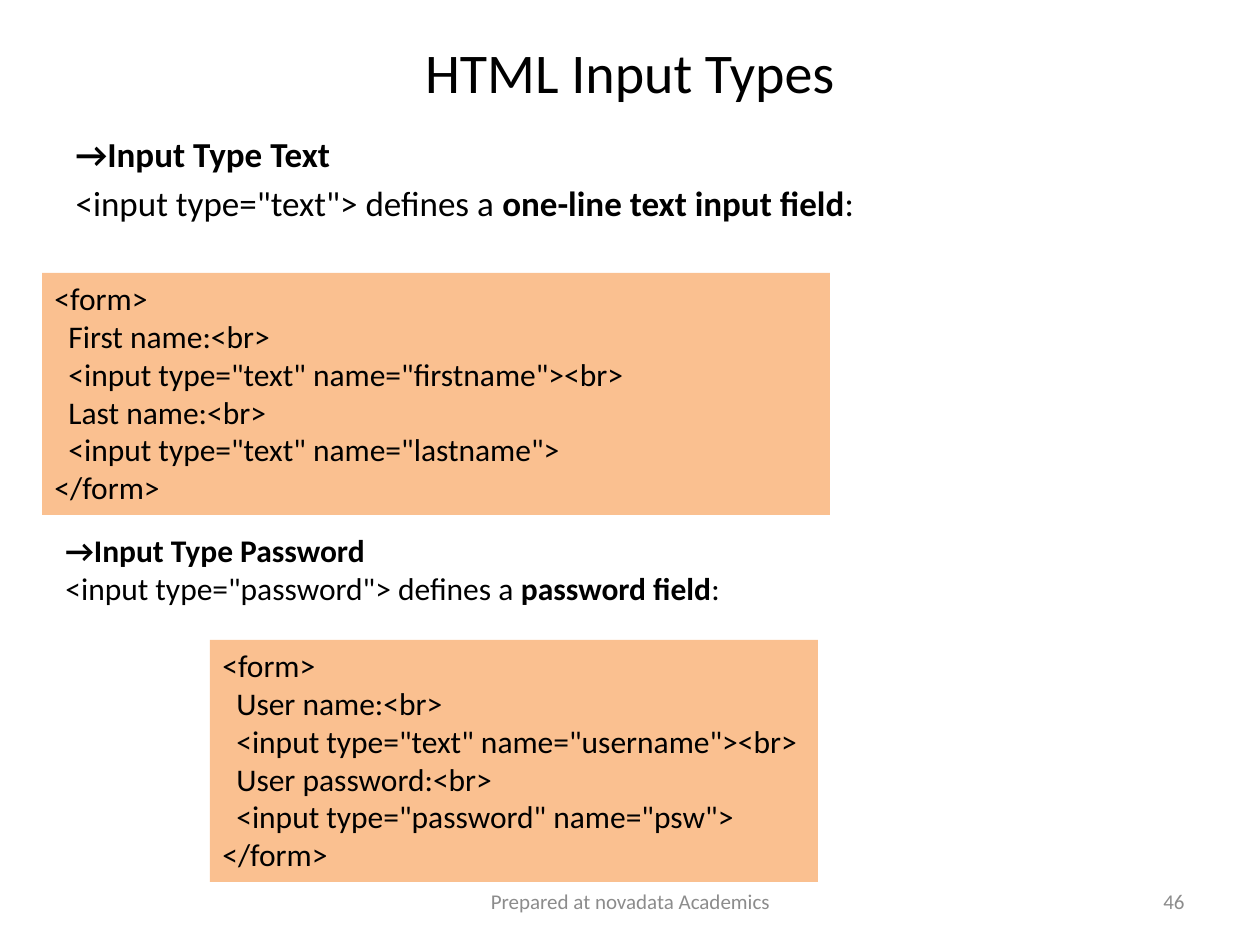
from lxml.etree import SubElement
from pptx import Presentation
from pptx.dml.color import RGBColor
from pptx.enum.shapes import MSO_SHAPE
from pptx.enum.text import MSO_ANCHOR, PP_ALIGN
from pptx.oxml.ns import qn
from pptx.util import Emu, Pt

PIXEL = 914400 // 126
BLACK, GREY, ORANGE = "000000", "8C8C8C", "FAC090"
TEXT_INTRO = [
    [("→Input Type Text", True)],
    [('<input type="text"> defines a ', False),
     ("one-line text input field", True), (":", False)],
]
PASSWORD_INTRO = [
    [("→Input Type Password", True)],
    [('<input type="password"> defines a ', False),
     ("password field", True), (":", False)],
]
TEXT_FORM = [
    "First name:<br>", '<input type="text" name="firstname"><br>',
    "Last name:<br>", '<input type="text" name="lastname">',
]
PASSWORD_FORM = [
    "User name:<br>", '<input type="text" name="username"><br>',
    "User password:<br>", '<input type="password" name="psw">',
]


def color(value):
    """Return the colour of a hex string."""
    return RGBColor.from_string(value)


def pixels(*lengths):
    """Convert pixel lengths to EMU."""
    return [Emu(length * PIXEL) for length in lengths]


def place(shape, area):
    """Move and size a shape."""
    shape.left, shape.top, shape.width, shape.height = pixels(*area)


def format_span(span, size, ink=BLACK, bold=False):
    """Set the font of one run."""
    span.font.name = "Calibri"
    span.font.size = Pt(size)
    span.font.bold = bold
    span.font.color.rgb = color(ink)


def indent(para, left, first=0):
    """Set the left margin and first-line indent in pixels."""
    properties = para._p.get_or_add_pPr()
    properties.set("marL", str(left * PIXEL))
    properties.set("indent", str(first * PIXEL))


def write_spans(frame, lines, size):
    """Write paragraphs of plain and bold runs."""
    frame.text = "\n" * (len(lines) - 1)
    for para, line in zip(frame.paragraphs, lines):
        for text, bold in line:
            span = para.add_run()
            span.text = text
            format_span(span, size, bold=bold)


def add_title(page, text):
    """Fill the title placeholder."""
    title = page.shapes.title
    place(title, (63, 38, 1134, 67))
    title.text_frame.text = text
    title.text_frame.vertical_anchor = MSO_ANCHOR.MIDDLE
    format_span(title.text_frame.paragraphs[0].runs[0], 32)


def add_body(page, lines):
    """Fill the body placeholder without bullets."""
    body = page.placeholders[1]
    place(body, (63, 126, 1134, 718))
    write_spans(body.text_frame, lines, 20)
    for para in body.text_frame.paragraphs:
        indent(para, 47, -47)
        SubElement(para._p.get_or_add_pPr(), qn("a:buNone"))


def add_text(page, area):
    """Add a wrapping text box and return its frame."""
    box = page.shapes.add_textbox(*pixels(*area))
    box.text_frame.word_wrap = True
    return box.text_frame


def add_form(page, area, fields):
    """Add a filled panel that lists the code of a form."""
    panel = page.shapes.add_shape(MSO_SHAPE.RECTANGLE, *pixels(*area))
    panel.shadow.inherit = False
    panel.fill.solid()
    panel.fill.fore_color.rgb = color(ORANGE)
    panel.line.fill.background()
    frame = panel.text_frame
    frame.word_wrap = True
    frame.vertical_anchor = MSO_ANCHOR.TOP
    frame.text = "\n".join(["<form>", *fields, "</form>"])
    for para in frame.paragraphs:
        para.alignment = PP_ALIGN.LEFT
        format_span(para.runs[0], 18)
    for para in frame.paragraphs[1:-1]:
        indent(para, 14)


def add_footer(page, area, text, alignment):
    """Add a small grey footer text."""
    frame = add_text(page, area)
    frame.vertical_anchor = MSO_ANCHOR.MIDDLE
    frame.text = text
    para = frame.paragraphs[0]
    para.alignment = alignment
    format_span(para.runs[0], 12, GREY)


def main():
    """Build the slide."""
    deck = Presentation()
    deck.slide_width, deck.slide_height = pixels(1260, 945)
    page = deck.slides.add_slide(deck.slide_layouts[1])
    add_title(page, "HTML Input Types")
    add_body(page, TEXT_INTRO)
    add_form(page, (42, 273, 788, 242), TEXT_FORM)
    write_spans(add_text(page, (53, 525, 687, 127)), PASSWORD_INTRO, 18)
    add_form(page, (210, 640, 608, 242), PASSWORD_FORM)
    add_footer(page, (903, 876, 294, 50), "46", PP_ALIGN.RIGHT)
    add_footer(page, (431, 876, 399, 50), "Prepared at novadata Academics", PP_ALIGN.CENTER)
    deck.save("out.pptx")


main()
